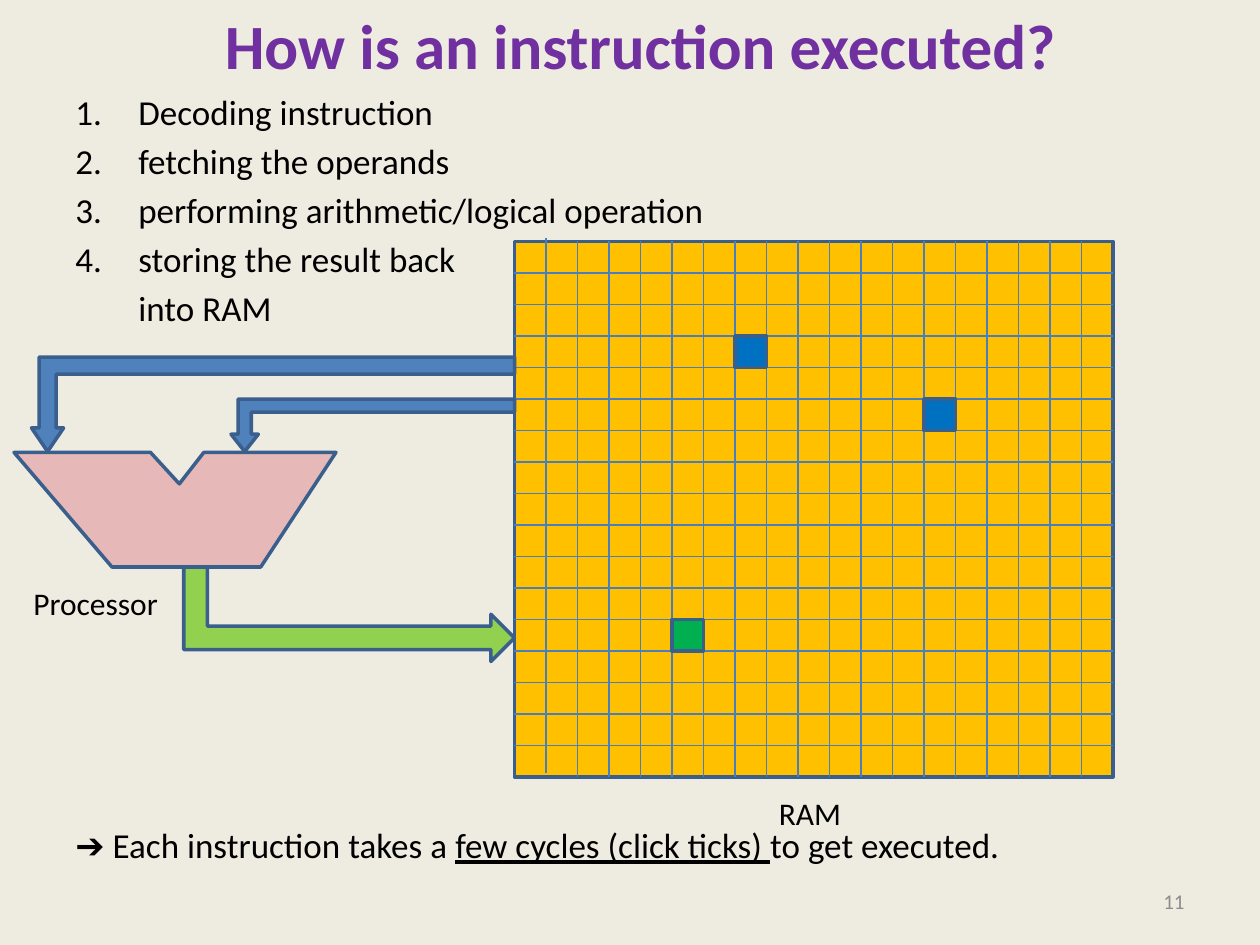
from dataclasses import dataclass

from lxml import etree
from pptx import Presentation
from pptx.dml.color import RGBColor
from pptx.enum.shapes import MSO_CONNECTOR, MSO_SHAPE
from pptx.enum.text import MSO_ANCHOR, MSO_AUTO_SIZE, PP_ALIGN
from pptx.oxml.ns import qn
from pptx.util import Pt

RECTANGLE, BENT_ARROW = MSO_SHAPE.RECTANGLE, MSO_SHAPE.BENT_UP_ARROW
STRAIGHT = MSO_CONNECTOR.STRAIGHT
TOP, MIDDLE = MSO_ANCHOR.TOP, MSO_ANCHOR.MIDDLE
LEFT, CENTER, RIGHT = PP_ALIGN.LEFT, PP_ALIGN.CENTER, PP_ALIGN.RIGHT

BEIGE = RGBColor(0xEE, 0xEC, 0xE1)
PURPLE = RGBColor(0x70, 0x30, 0xA0)
BLACK = RGBColor(0, 0, 0)
GRAY = RGBColor(0x8C, 0x8C, 0x8C)
ORANGE = RGBColor(0xFF, 0xC0, 0x00)
OUTLINE_BLUE = RGBColor(0x3A, 0x5F, 0x8C)
GRID_BLUE = RGBColor(0x4B, 0x7E, 0xBC)
ARROW_BLUE = RGBColor(0x4F, 0x81, 0xBD)
ARROW_GREEN = RGBColor(0x92, 0xD0, 0x50)
PINK = RGBColor(0xE6, 0xB9, 0xB8)
OPERAND_BLUE = RGBColor(0x00, 0x70, 0xC0)
RESULT_GREEN = RGBColor(0x00, 0xB0, 0x50)

FONT = "Calibri"
RAM_LEFT, RAM_TOP, CELL = 294, 138, 18
COLUMNS, ROWS = 19, 17
RAM_RIGHT, RAM_BOTTOM = RAM_LEFT + COLUMNS * CELL, RAM_TOP + ROWS * CELL
FIRST_LINE_SHIFT = -2
LIST_INDENT = 36
STEPS = (
    "Decoding instruction",
    "fetching the operands",
    "performing arithmetic/logical operation",
    "storing the result back",
)
PROCESSOR_POINTS = (
    (8, 258.5), (86, 258.5), (102.5, 276.5), (116.5, 258.5),
    (192, 258.5), (149, 324), (64, 324),
)


@dataclass(frozen=True)
class Block:
    left: float
    top: float
    width: float
    height: float
    fill: RGBColor
    kind: int = RECTANGLE
    rotation: float = 0
    adjustments: tuple[float, ...] = ()


@dataclass(frozen=True)
class Label:
    text: str
    left: float
    top: float
    width: float
    height: float
    size: float = 18
    color: RGBColor = BLACK
    align: int = LEFT
    anchor: int = TOP
    wrap: bool = False


@dataclass(frozen=True)
class MemoryCell:
    column: int
    row: int
    fill: RGBColor


ARROWS = (
    Block(18, 204, 276, 54, ARROW_BLUE, BENT_ARROW, 180, (0.18, 0.17, 0.25)),
    Block(132, 228, 162, 30, ARROW_BLUE, BENT_ARROW, 180, (0.25, 0.26, 0.33)),
    Block(172.5, 256.5, 54, 189, ARROW_GREEN, BENT_ARROW, 90),
)
MEMORY_CELLS = (
    MemoryCell(7, 3, OPERAND_BLUE),
    MemoryCell(13, 5, OPERAND_BLUE),
    MemoryCell(5, 12, RESULT_GREEN),
)
LABELS = (
    Label("RAM", 438, 450, 50, 29),
    Label("Processor", 12, 330, 86, 29),
    Label("11", 516, 500.5, 168, 29, 12, GRAY, RIGHT, MIDDLE, True),
)


def set_attributes(target, values: dict) -> None:
    for name, value in values.items():
        setattr(target, name, value)


def add_run(paragraph, text: str, size: float, color: RGBColor, **extra) -> None:
    run = paragraph.add_run()
    run.text = text
    set_attributes(run.font, {"name": FONT, "size": Pt(size), **extra})
    run.font.color.rgb = color


def paint(shape, fill: RGBColor) -> None:
    shape.shadow.inherit = False
    shape.fill.solid()
    shape.fill.fore_color.rgb = fill
    shape.line.color.rgb = OUTLINE_BLUE
    shape.line.width = Pt(2)


def add_block(slide, block: Block) -> None:
    shape = slide.shapes.add_shape(
        block.kind, Pt(block.left), Pt(block.top), Pt(block.width), Pt(block.height))
    shape.rotation = block.rotation
    for index, value in enumerate(block.adjustments):
        shape.adjustments[index] = value
    paint(shape, block.fill)


def add_grid_line(slide, x1: float, y1: float, x2: float, y2: float) -> None:
    line = slide.shapes.add_connector(STRAIGHT, Pt(x1), Pt(y1), Pt(x2), Pt(y2))
    line.line.color.rgb = GRID_BLUE
    line.line.width = Pt(0.75)
    etree.SubElement(line._element.spPr, qn("a:effectLst"))


def add_ram(slide) -> None:
    add_block(slide, Block(RAM_LEFT, RAM_TOP, COLUMNS * CELL, ROWS * CELL, ORANGE))
    for column in range(1, COLUMNS):
        x = RAM_LEFT + column * CELL
        shift = FIRST_LINE_SHIFT if column == 1 else 0
        add_grid_line(slide, x, RAM_TOP + shift, x, RAM_BOTTOM + shift)
    for row in range(1, ROWS):
        y = RAM_TOP + row * CELL
        add_grid_line(slide, RAM_LEFT, y, RAM_RIGHT, y)


def add_processor(slide) -> None:
    points = [(Pt(x), Pt(y)) for x, y in PROCESSOR_POINTS]
    builder = slide.shapes.build_freeform(*points[0], scale=1.0)
    builder.add_line_segments(points[1:], close=True)
    paint(builder.convert_to_shape(), PINK)


def add_label(slide, label: Label) -> None:
    box = slide.shapes.add_textbox(
        Pt(label.left), Pt(label.top), Pt(label.width), Pt(label.height))
    frame = box.text_frame
    set_attributes(frame, {"word_wrap": label.wrap, "vertical_anchor": label.anchor})
    paragraph = frame.paragraphs[0]
    paragraph.alignment = label.align
    add_run(paragraph, label.text, label.size, label.color)


def indent(paragraph, numbered: bool) -> None:
    properties = paragraph._p.get_or_add_pPr()
    properties.set("marL", str(Pt(LIST_INDENT)))
    properties.set("indent", str(-Pt(LIST_INDENT) if numbered else 0))
    if numbered:
        etree.SubElement(properties, qn("a:buFont"), typeface="+mj-lt")
        etree.SubElement(properties, qn("a:buAutoNum"), type="arabicPeriod")


def add_body(slide) -> None:
    frame = slide.shapes.add_textbox(Pt(36), Pt(48), Pt(648), Pt(462)).text_frame
    frame.word_wrap = True
    for number, text in enumerate((*STEPS, "into RAM")):
        paragraph = frame.add_paragraph() if number else frame.paragraphs[0]
        paragraph.space_before = Pt(4 if number else 0)
        indent(paragraph, numbered=number < len(STEPS))
        add_run(paragraph, text, 20, BLACK)
    conclusion = frame.add_paragraph()
    conclusion.space_before = Pt(283)
    add_run(conclusion, "➔ Each instruction takes a ", 20, BLACK)
    add_run(conclusion, "few cycles (click ticks) ", 20, BLACK, underline=True)
    add_run(conclusion, "to get executed.", 20, BLACK)


def set_title(slide) -> None:
    title = slide.shapes.title
    set_attributes(title, {
        "left": Pt(42), "top": Pt(3), "width": Pt(648), "height": Pt(90)})
    frame = title.text_frame
    set_attributes(frame, {
        "auto_size": MSO_AUTO_SIZE.NONE, "vertical_anchor": TOP, "margin_top": Pt(1)})
    paragraph = frame.paragraphs[0]
    paragraph.alignment = CENTER
    add_run(paragraph, "How is an instruction executed?", 36, PURPLE, bold=True)


def main() -> None:
    presentation = Presentation()
    set_attributes(presentation, {"slide_width": Pt(720), "slide_height": Pt(540)})
    slide = presentation.slides.add_slide(presentation.slide_layouts[5])
    slide.background.fill.solid()
    slide.background.fill.fore_color.rgb = BEIGE
    set_title(slide)
    add_body(slide)
    add_ram(slide)
    for label in LABELS:
        add_label(slide, label)
    add_processor(slide)
    for arrow in ARROWS:
        add_block(slide, arrow)
    for cell in MEMORY_CELLS:
        add_block(slide, Block(RAM_LEFT + cell.column * CELL,
                               RAM_TOP + cell.row * CELL, CELL, CELL, cell.fill))
    presentation.save("out.pptx")


if __name__ == "__main__":
    main()
